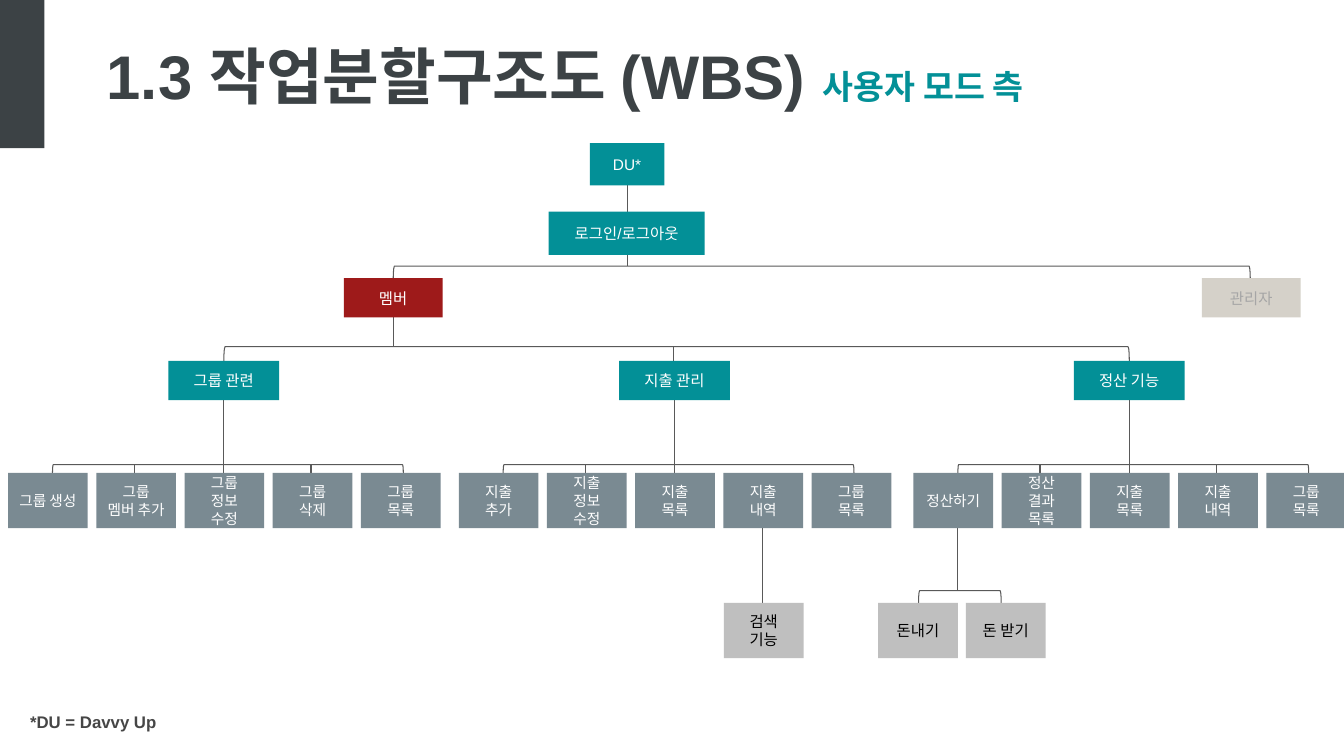
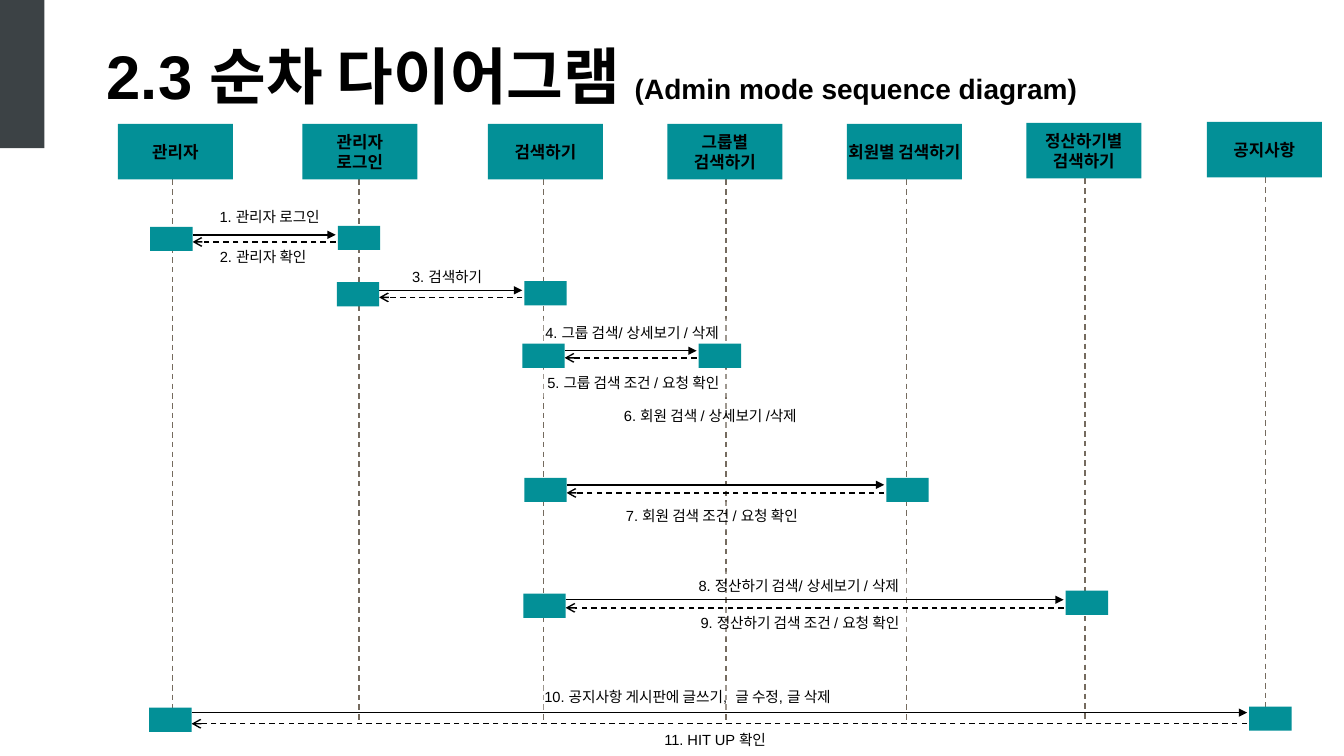
import dataclasses

import lxml.etree
import pptx
import pptx.dml.color
import pptx.enum.dml
import pptx.enum.shapes
import pptx.enum.text
import pptx.oxml.ns
import pptx.util

Inches = pptx.util.Inches
Pt = pptx.util.Pt
qn = pptx.oxml.ns.qn
rgb = pptx.dml.color.RGBColor.from_string
SHAPES = pptx.enum.shapes.MSO_SHAPE
ALIGN = pptx.enum.text.PP_ALIGN
ANCHOR = pptx.enum.text.MSO_ANCHOR


@dataclasses.dataclass(frozen=True)
class Theme:
    font: str = "Arial"
    dark: str = "3C4245"
    teal: str = "039097"
    red: str = "9E1A1A"
    beige: str = "D5D1C9"
    muted: str = "A6A6A6"
    slate: str = "7A8A92"
    silver: str = "BFBFBF"
    branch: str = "595959"
    lifeline: str = "756B5F"
    footnote: str = "464646"
    black: str = "000000"
    white: str = "FFFFFF"
    title_size: float = 44
    node_size: float = 11
    small_size: float = 10.5
    header_size: float = 12


theme = Theme()


def add_box(slide, left, top, width, height, fill, text="", color=theme.white,
            size=theme.node_size, bold=False, align=ALIGN.CENTER):
    """Add a borderless filled rectangle; each line of text is a paragraph."""
    shape = slide.shapes.add_shape(SHAPES.RECTANGLE, Inches(left), Inches(top),
                                   Inches(width), Inches(height))
    shape.shadow.inherit = False
    shape.fill.solid()
    shape.fill.fore_color.rgb = rgb(fill)
    shape.line.fill.background()
    if text:
        shape.text_frame.text = text
        shape.text_frame.word_wrap = True
        shape.text_frame.vertical_anchor = ANCHOR.MIDDLE
        for paragraph in shape.text_frame.paragraphs:
            paragraph.alignment = align
            for run in paragraph.runs:
                run.font.name = theme.font
                run.font.size = Pt(size)
                run.font.bold = bold
                run.font.color.rgb = rgb(color)
    return shape


def add_line(slide, x1, y1, x2, y2, color, width=1, dashed=False, arrow=None):
    connector = slide.shapes.add_connector(
        pptx.enum.shapes.MSO_CONNECTOR.STRAIGHT,
        Inches(x1), Inches(y1), Inches(x2), Inches(y2))
    connector.line.color.rgb = rgb(color)
    connector.line.width = Pt(width)
    if dashed:
        connector.line.dash_style = pptx.enum.dml.MSO_LINE.DASH
    properties = connector.element.spPr
    if arrow:
        line = properties.find(qn("a:ln"))
        lxml.etree.SubElement(line, qn("a:tailEnd"), type=arrow)
    lxml.etree.SubElement(properties, qn("a:effectLst"))


presentation = pptx.Presentation()
presentation.slide_width = Inches(13.33)
presentation.slide_height = Inches(7.5)

# Shared band and title
titles = [
    ("1.3 작업분할구조도 (WBS) ", theme.dark, "사용자 모드 측", theme.teal, 24),
    ("2.3 순차 다이어그램 ", theme.black,
     "(Admin mode sequence diagram)", theme.black, 20),
]
slides = []
for title, title_color, subtitle, subtitle_color, subtitle_size in titles:
    slide = presentation.slides.add_slide(presentation.slide_layouts[6])
    slides.append(slide)
    add_box(slide, -0.01, 0, 0.45, 1.47, theme.dark)
    title_box = slide.shapes.add_textbox(Inches(0.96), Inches(0.33),
                                         Inches(12.22), Inches(0.84))
    title_box.text_frame.word_wrap = True
    paragraph = title_box.text_frame.paragraphs[0]
    for text, color, size in [(title, title_color, theme.title_size),
                              (subtitle, subtitle_color, subtitle_size)]:
        run = paragraph.add_run()
        run.text = text
        run.font.name = theme.font
        run.font.size = Pt(size)
        run.font.bold = True
        run.font.color.rgb = rgb(color)
wbs, sequence = slides

# Work breakdown: each group is a parent with five leaves
leaf_width, leaf_height, leaf_top, leaf_step = 0.79, 0.55, 4.69, 0.875
groups = [
    (0.08, "그룹 관련", (1, 3),
     ["그룹 생성", "그룹\n멤버 추가", "그룹\n정보\n수정", "그룹\n삭제", "그룹\n목록"]),
    (4.55, "지출 관리", (1,),
     ["지출\n추가", "지출\n정보\n수정", "지출\n목록", "지출\n내역", "그룹\n목록"]),
    (9.06, "정산 기능", (1, 3),
     ["정산하기", "정산\n결과\n목록", "지출\n목록", "지출\n내역", "그룹\n목록"]),
]
brackets = [(3.9, 2.64, 8.5, 0.14), (2.22, 3.44, 8.98, 0.14), (9.11, 5.86, 0.82, 0.13)]
stems = [(6.22, 1.84, 2.64), (3.9, 3.14, 3.44), (6.68, 3.44, 3.58),
         (7.56, 5.17, 5.98), (9.5, 5.17, 5.86)]
for left, parent, ticks, leaves in groups:
    brackets.append((left + 0.44, 4.61, 3.48, 0.09))
    stems.append((left + 2.14, 3.83, leaf_top))
    stems += [(left + leaf_step * tick + 0.38, 4.61, 4.73) for tick in ticks]

for x, top, bottom in stems:
    add_line(wbs, x, top, x, bottom, theme.branch, 0.75)
for left, top, width, depth in brackets:
    # A left bracket turned a quarter has its width and height exchanged
    bracket = wbs.shapes.add_shape(
        SHAPES.LEFT_BRACKET,
        Inches(left + (width - depth) / 2), Inches(top + (depth - width) / 2),
        Inches(depth), Inches(width))
    bracket.rotation = 90
    bracket.shadow.inherit = False
    bracket.fill.background()
    bracket.line.color.rgb = rgb(theme.branch)
    bracket.line.width = Pt(0.75)

for left, top, width, height, fill, text, color in [
    (5.85, 1.42, 0.74, 0.42, theme.teal, "DU*", theme.white),
    (5.44, 2.1, 1.55, 0.43, theme.teal, "로그인/로그아웃", theme.white),
    (3.41, 2.76, 0.98, 0.39, theme.red, "멤버", theme.white),
    (11.92, 2.76, 0.98, 0.39, theme.beige, "관리자", theme.muted),
]:
    add_box(wbs, left, top, width, height, fill, text, color)
for left, parent, ticks, leaves in groups:
    add_box(wbs, left + 1.59, 3.58, 1.1, 0.39, theme.teal, parent)
    for column, leaf in enumerate(leaves):
        add_box(wbs, left + leaf_step * column, leaf_top, leaf_width, leaf_height,
                theme.slate, leaf, size=theme.small_size)
for left, text in [(7.18, "검색\n기능"), (8.71, "돈내기"), (9.58, "돈 받기")]:
    add_box(wbs, left, 5.98, leaf_width, leaf_height, theme.silver, text, theme.black)

footnote = wbs.shapes.add_textbox(Inches(0.2), Inches(7.01), Inches(2.01), Inches(0.3))
footnote.text_frame.word_wrap = True
footnote.text_frame.text = "*DU = Davvy Up"
font = footnote.text_frame.paragraphs[0].runs[0].font
font.name = theme.font
font.size = Pt(12)
font.bold = True
font.color.rgb = rgb(theme.footnote)

# Sequence diagram: header left, header top, lifeline x
participants = [
    (1.17, 1.23, 1.71, "관리자"),
    (3, 1.23, 3.56, "관리자\n로그인"),
    (4.84, 1.23, 5.39, "검색하기"),
    (6.62, 1.23, 7.2, "그룹별\n검색하기"),
    (8.4, 1.23, 8.99, "회원별 검색하기"),
    (10.18, 1.22, 10.76, "정산하기별\n검색하기"),
    (11.97, 1.21, 12.55, "공지사항"),
]
for left, top, lifeline, name in participants:
    add_line(sequence, lifeline, top + 0.55, lifeline, 7.17, theme.lifeline, dashed=True)
    header = add_box(sequence, left, top, 1.14, 0.55, theme.teal, name, theme.black,
                     theme.header_size, bold=True)
    frame = header.text_frame
    frame.margin_left = frame.margin_right = frame.margin_top = frame.margin_bottom = 0

# Labels are slightly see-through so that the lifelines stay visible
labels = [
    (2.02, 2.01, 1.31, "1. 관리자 로그인", ALIGN.CENTER),
    (1.97, 2.41, 1.28, "2. 관리자 확인", ALIGN.CENTER),
    (3.78, 2.61, 1.31, "3. 검색하기", ALIGN.CENTER),
    (5.31, 3.16, 2.15, "4. 그룹 검색/ 상세보기 / 삭제", ALIGN.LEFT),
    (5.33, 3.66, 2.44, "5. 그룹 검색 조건 / 요청 확인", ALIGN.LEFT),
    (6.09, 3.99, 2.15, "6. 회원 검색 / 상세보기 /삭제", ALIGN.LEFT),
    (6.11, 4.98, 2.3, "7. 회원 검색 조건 / 요청 확인", ALIGN.LEFT),
    (6.83, 5.67, 2.46, "8. 정산하기 검색/ 상세보기 / 삭제", ALIGN.LEFT),
    (6.85, 6.04, 2.57, "9. 정산하기 검색 조건 / 요청 확인", ALIGN.LEFT),
    (5.3, 6.77, 3.38, "10. 공지사항 게시판에 글쓰기,  글 수정, 글 삭제", ALIGN.LEFT),
    (6.49, 7.2, 1.36, "11. HIT UP 확인", ALIGN.LEFT),
]
for left, top, width, text, align in labels:
    label = add_box(sequence, left, top, width, 0.28, theme.white, text, theme.black,
                    theme.small_size, align=align)
    label.text_frame.vertical_anchor = ANCHOR.TOP
    color = label.element.spPr.find(qn("a:solidFill"))[0]
    lxml.etree.SubElement(color, qn("a:alpha"), val="30000")

# Caller left and top, callee left and top, request y, reply y
exchanges = [
    (1.49, 2.25, 3.35, 2.24, 2.33, 2.4),
    (3.34, 2.8, 5.2, 2.79, 2.88, 2.95),
    (5.18, 3.41, 6.93, 3.41, 3.48, 3.55),
    (5.2, 4.74, 8.79, 4.74, 4.81, 4.89),
    (5.19, 5.89, 10.57, 5.86, 5.95, 6.03),
    (1.48, 7.02, 12.39, 7.01, 7.07, 7.18),
]
activation_width, activation_height = 0.42, 0.24
for caller, caller_top, callee, callee_top, request_y, reply_y in exchanges:
    start, end = caller + activation_width, callee - 0.02
    add_line(sequence, start, request_y, end, request_y, theme.black, arrow="triangle")
    add_line(sequence, end, reply_y, start, reply_y, theme.black, dashed=True, arrow="arrow")
    for left, top in [(caller, caller_top), (callee, callee_top)]:
        add_box(sequence, left, top, activation_width, activation_height, theme.teal)

presentation.save("out.pptx")
